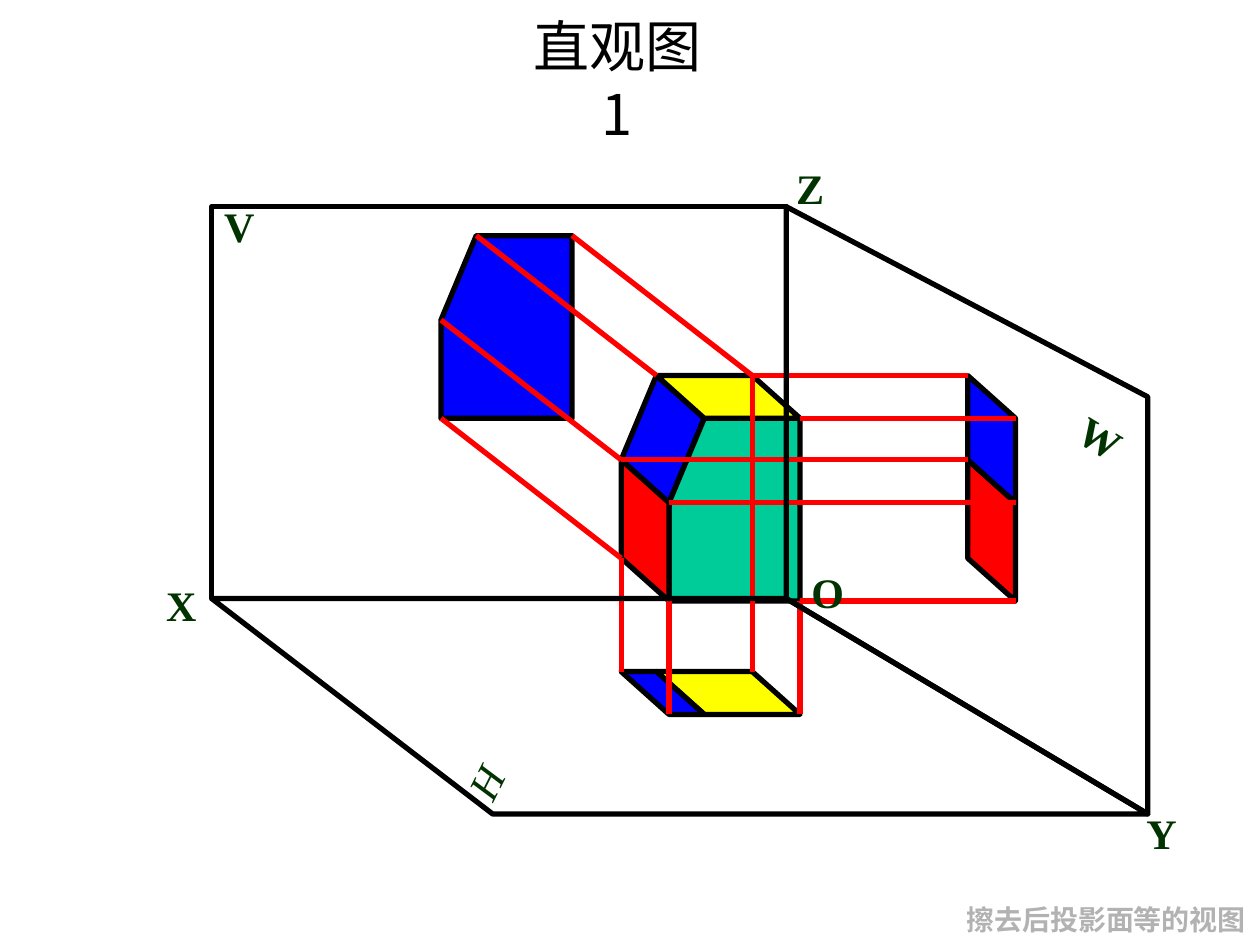
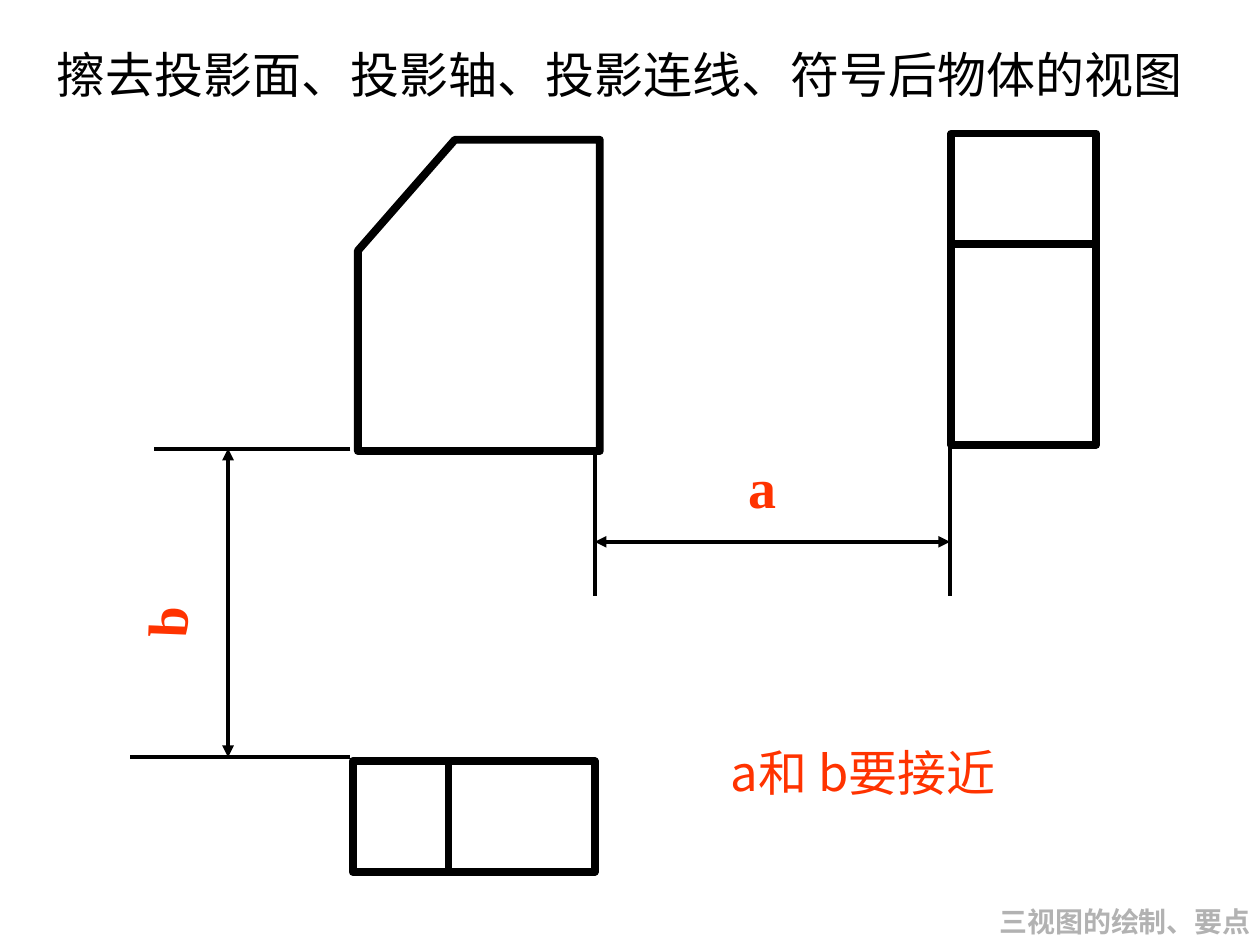
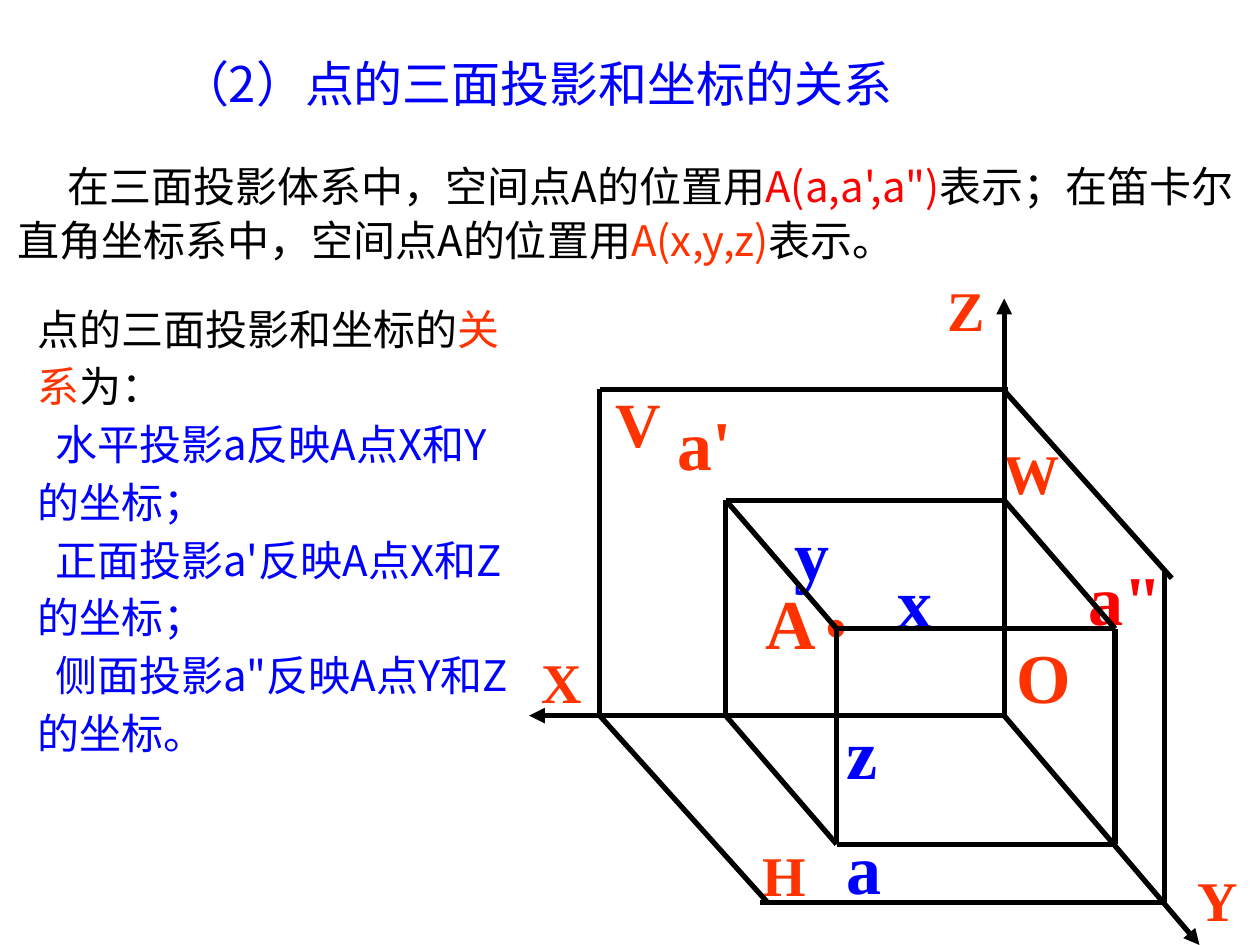
from dataclasses import dataclass

from lxml import etree
from pptx import Presentation
from pptx import util as u
from pptx.dml.color import RGBColor
from pptx.enum import shapes, text
from pptx.oxml.ns import qn


@dataclass(frozen=True)
class Theme:
    black: str = "000000"
    blue: str = "0000FF"
    red: str = "FF0000"
    orange: str = "FF3300"
    yellow: str = "FFFF00"
    teal: str = "00CC99"
    green: str = "003300"
    grey: str = "B2B2B2"
    serif: str = "Times New Roman"
    sans: str = "Noto Sans CJK SC"
    footer: int = 16
    body: int = 24
    heading: int = 28
    axis: int = 32
    plane: int = 36
    point: int = 40
    thin: float = 2.25
    medium: float = 3
    thick: float = 4.5


THEME = Theme()
CENTER = text.PP_ALIGN.CENTER
LEFT = text.PP_ALIGN.LEFT


def apply(target, values):
    for name, value in values.items():
        setattr(target, name, value)


def text_height(size):
    return size * 1.2 / 72 + 0.1


def shift(point, offset):
    return point[0] + offset[0], point[1] + offset[1]


def write(frame, paras, size, font=THEME.sans, align=LEFT, wrap=True,
          bold=False, italic=False, spacing=None, indents=()):
    apply(frame, {"word_wrap": wrap, "auto_size": text.MSO_AUTO_SIZE.NONE,
                  "vertical_anchor": text.MSO_ANCHOR.MIDDLE})
    for number, spans in enumerate(paras):
        para = frame.add_paragraph() if number else frame.paragraphs[0]
        apply(para, {"alignment": align, "space_before": u.Pt(0)})
        if spacing:
            para.line_spacing = u.Pt(spacing)
        if indents:
            para._p.get_or_add_pPr().set("indent", str(u.Inches(indents[number])))
        for words, color in spans:
            span = para.add_run()
            span.text = words
            apply(span.font, {"size": u.Pt(size), "name": font,
                              "bold": bold, "italic": italic})
            span.font.color.rgb = RGBColor.from_string(color)
            east = etree.SubElement(span._r.get_or_add_rPr(), qn("a:ea"))
            east.set("typeface", THEME.sans)


def place(shape, box):
    names = ("left", "top", "width", "height")
    apply(shape, dict(zip(names, map(u.Inches, box))))


class Region:
    def __init__(self, page, box):
        self.page, self.box = page, box

    def spot(self, point):
        return [u.Inches(value) for value in shift(point, self.box)]

    def paint(self, shape, fill, line, width):
        shape.shadow.inherit = False
        if fill:
            shape.fill.solid()
            shape.fill.fore_color.rgb = RGBColor.from_string(fill)
        else:
            shape.fill.background()
        shape.line.color.rgb = RGBColor.from_string(line)
        shape.line.width = u.Pt(width)

    def polygon(self, points, fill=None, width=THEME.medium):
        first, *others = map(self.spot, points)
        builder = self.page.shapes.build_freeform(*first, scale=1.0)
        builder.add_line_segments(others, close=True)
        self.paint(builder.convert_to_shape(), fill, THEME.black, width)

    def dot(self, left, top, width, height):
        shape = self.page.shapes.add_shape(
            shapes.MSO_SHAPE.OVAL, *self.spot((left, top)),
            u.Inches(width), u.Inches(height))
        self.paint(shape, THEME.red, THEME.orange, THEME.medium)

    def line(self, start, end, color=THEME.black, width=THEME.medium, arrows=()):
        connector = self.page.shapes.add_connector(
            shapes.MSO_CONNECTOR.STRAIGHT, *self.spot(start), *self.spot(end))
        connector.line.color.rgb = RGBColor.from_string(color)
        connector.line.width = u.Pt(width)
        properties = connector.element.spPr
        for arrow in arrows:
            end_mark = etree.SubElement(properties.find(qn("a:ln")), qn(f"a:{arrow}"))
            end_mark.set("type", "triangle")
        etree.SubElement(properties, qn("a:effectLst"))

    def label(self, words, left, top, width, size, color, rotation=0, **style):
        box = self.page.shapes.add_textbox(
            *self.spot((left, top)), u.Inches(width), u.Inches(text_height(size)))
        box.rotation = rotation
        write(box.text_frame, [[(words, color)]], size, **style)


def add_page(deck, title, box, size, color=THEME.black, **style):
    page = deck.slides.add_slide(deck.slide_layouts[5])
    place(page.shapes.title, box)
    write(page.shapes.title.text_frame, [[(title, color)]], size, **style)
    return page


def add_footer(page, words, left, top, width):
    Region(page, (left, top)).label(
        words, 0, 0, width, THEME.footer, THEME.grey,
        font=THEME.serif, bold=True, align=CENTER, wrap=False)


def add_paragraphs(page, box, paras, spacing, indents):
    shape = page.shapes.add_textbox(*map(u.Inches, box))
    write(shape.text_frame, paras, THEME.body, spacing=spacing, indents=indents)


def draw_solid_and_views(page, box):
    region = Region(page, box)
    corner, depth, to_v = (3.63, 3.13), (-0.38, -0.34), (-1.43, -1.11)
    plan_y, side_x = 4.03, 6.38
    profile = {"A": (0, 0), "B": (1.04, 0), "C": (1.04, -1.45),
               "D": (0.28, -1.45), "E": (0, -0.78)}
    front = {name: shift(point, corner) for name, point in profile.items()}
    back = {name.lower(): shift(point, depth) for name, point in front.items()}
    solid = front | back
    v_view = {name: shift(point, to_v) for name, point in back.items()}
    h_view = {name: (x, plan_y + depth[1] * name.islower())
              for name, (x, y) in solid.items()}
    w_view = {name: (side_x + depth[0] * name.islower(), y)
              for name, (x, y) in solid.items()}
    faces = [(solid, "DdeE", THEME.blue), (solid, "DCBAE", THEME.teal),
             (solid, "CcdD", THEME.yellow), (solid, "EeaA", THEME.red),
             (v_view, "dcbae", THEME.blue), (h_view, "CcdD", THEME.yellow),
             (h_view, "deED", THEME.blue), (w_view, "EeaA", THEME.red),
             (w_view, "ECce", THEME.blue)]
    for view, names, fill in faces:
        region.polygon([view[name] for name in names], fill)
    for view, names in ((v_view, "edca"), (h_view, "ABca"), (w_view, "BecEC")):
        for name in names:
            region.line(solid[name], view[name], THEME.red)


def draw_planes(page, box):
    region = Region(page, box)
    left, top, width, height = box
    z, o, x, y = (4.56, 0), (4.56, 3.11), (0, 3.11), (width, height)
    for plane in ([(0, 0), x, o, z], [z, o, y, (width, 1.51)],
                  [x, o, y, (2.23, height)]):
        region.polygon(plane)
    for words, x, y, width, turn in (
            ("O", 4.66, 2.81, 0.52, 0), ("X", -0.46, 2.91, 0.5, 0),
            ("Y", 7.32, 4.72, 0.5, 0), ("Z", 4.54, -0.4, 0.5, 0),
            ("V", 0, -0.1, 0.5, 0), ("W", 6.79, 1.6, 0.6, 31.2),
            ("H", 1.96, 4.34, 0.4, 296.8)):
        region.label(words, x, y, width, THEME.body, THEME.green, turn,
                     font=THEME.serif, bold=words != "H", italic=words == "H")


def draw_front_view(page, box):
    left, top, width, height = box
    Region(page, box).polygon(
        [(0, 0.88), (0, height), (width, height), (width, 0), (0.77, 0)],
        width=THEME.thick)


def draw_divided_view(page, box, start, end):
    left, top, width, height = box
    region = Region(page, box)
    region.polygon([(0, 0), (width, 0), (width, height), (0, height)],
                   width=THEME.thick)
    region.line(start, end, width=THEME.thick)


def draw_dimension(page, box, extensions, start, end, name):
    region = Region(page, box)
    for first, last in extensions:
        region.line(first, last, width=THEME.thin)
    region.line(start, end, width=THEME.thin, arrows=("headEnd", "tailEnd"))
    words, left, top, width, turn = name
    region.label(words, left, top, width, THEME.axis, THEME.orange, turn,
                 font=THEME.serif, bold=True, align=CENTER)


def draw_coordinates(page, box):
    region = Region(page, box)
    blue, orange = THEME.blue, THEME.orange
    point, axis = THEME.point, THEME.axis
    for words, left, top, width, size, color, align in (
            ("y", 1.88, 1.63, 0.73, point, blue, CENTER),
            ("x", 2.77, 2.01, 0.59, point, blue, CENTER),
            ("z", 2.42, 3.21, 0.45, point, blue, CENTER),
            ("O", 3.77, 2.61, 0.63, point, orange, LEFT),
            ("A", 1.78, 2.18, 0.6, point, orange, LEFT),
            ("V", 0.59, 0.63, 0.56, THEME.plane, orange, LEFT),
            ("H", 1.75, 4.25, 0.55, axis, orange, LEFT),
            ("W", 3.67, 1.06, 0.67, axis, orange, LEFT),
            ("a'", 1.08, 0.76, 0.66, point, orange, LEFT),
            ("a", 2.42, 4.12, 0.48, point, blue, LEFT),
            ("a\"", 4.34, 1.99, 0.82, point, THEME.red, LEFT),
            ("X", 0, 2.72, 1.22, axis, orange, LEFT),
            ("Z", 3.22, -0.23, 0.75, axis, orange, LEFT),
            ("Y", 5.21, 4.45, 0.63, axis, orange, LEFT)):
        region.label(words, left, top, width, size, color,
                     font=THEME.serif, bold=True, align=align)
    region.dot(2.39, 2.57, 0.09, 0.1)

    origin = (3.77, 3.31)
    corners = {"A": (2.44, 2.62), "a": (2.44, 4.33), "a'": (1.56, 1.6),
               "a\"": (4.65, 2.62), "ax": (1.56, 3.31), "ay": (4.65, 4.33),
               "az": (3.77, 1.6)}
    for start, end in (("ax", "a'"), ("a'", "az"), ("az", "a\""), ("ax", "a"),
                       ("a", "A"), ("A", "a\""), ("a'", "A"), ("a", "ay"),
                       ("a\"", "ay")):
        region.line(corners[start], corners[end])
    for start, end in (((0.56, 3.31), (0.56, 0.72)), ((0.56, 0.72), (3.8, 0.72)),
                       ((1.83, 4.79), (5.04, 4.79)), ((5.04, 4.79), (5.04, 2.17)),
                       ((0.56, 3.31), (1.89, 4.79)), ((5.1, 2.22), (3.77, 0.73))):
        region.line(start, end)
    for end in ((3.77, 0), (0, 3.31), (5.32, 5.13)):
        region.line(origin, end, arrows=("tailEnd",))


def add_pictorial_page(deck):
    page = add_page(deck, "直观图1", (4.02, 0.31, 1.76, 0.63), THEME.axis,
                    align=CENTER, spacing=39)
    space = (1.68, 1.64, 7.43, 4.82)
    draw_solid_and_views(page, space)
    draw_planes(page, space)
    add_footer(page, "擦去后投影面等的视图", 7.56, 7.11, 2.44)


def add_views_page(deck):
    page = add_page(deck, "擦去投影面、投影轴、投影连线、符号后物体的视图",
                    (0.35, 0.3, 9.67, 0.57), THEME.heading, font=THEME.serif)
    draw_front_view(page, (2.84, 1.11, 1.92, 2.47))
    draw_divided_view(page, (2.8, 6.04, 1.92, 0.88), (0.76, 0), (0.76, 0.88))
    draw_divided_view(page, (7.55, 1.06, 1.15, 2.47), (0, 0.88), (1.15, 0.88))
    draw_dimension(page, (1.03, 3.56),
                   [((1.75, 0), (0.19, 0)), ((1.75, 2.45), (0, 2.45))],
                   (0.78, 0), (0.78, 2.45), ("b", 0.06, 1.06, 0.45, 272.2))
    draw_dimension(page, (4.72, 3.56),
                   [((0, 0), (0, 1.17)), ((2.82, -0.11), (2.82, 1.17))],
                   (0, 0.74), (2.82, 0.74), ("a", 0.97, -0.02, 0.73, 0))
    Region(page, (4.6, 5.84)).label("a和 b要接近", 0, 0, 4.5, THEME.heading,
                                    THEME.orange, align=CENTER)
    add_footer(page, "三视图的绘制、要点", 7.82, 7.13, 2.22)


def add_coordinates_page(deck):
    black, blue, orange = THEME.black, THEME.blue, THEME.orange
    page = add_page(deck, "（2）点的三面投影和坐标的关系",
                    (-0.16, 0, 8.83, 1.31), THEME.heading, blue, align=CENTER)
    add_paragraphs(page, (0.04, 1.16, 9.91, 1.03), [[
        ("在三面投影体系中，空间点A的位置用", black),
        ("A(a,a',a\")", THEME.red),
        ("表示；在笛卡尔直角坐标系中，空间点A的位置用", black),
        ("A(x,y,z)", orange),
        ("表示。", black)]], 31, [0.4])
    add_paragraphs(page, (0.2, 2.29, 3.94, 3.78), [
        [("点的三面投影和坐标的", black), ("关系", orange), ("为：", black)],
        [("水平投影a反映A点X和Y的坐标；", blue)],
        [("正面投影a'反映A点X和Z的坐标；", blue)],
        [("侧面投影a\"反映A点Y和Z的坐标。", blue)]],
        33, [0, 0.14, 0.14, 0.14])
    draw_coordinates(page, (4.2, 2.37, 5.32, 5.13))


def main():
    deck = Presentation()
    apply(deck, {"slide_width": u.Inches(10), "slide_height": u.Inches(7.5)})
    add_pictorial_page(deck)
    add_views_page(deck)
    add_coordinates_page(deck)
    deck.save("out.pptx")


if __name__ == "__main__":
    main()
